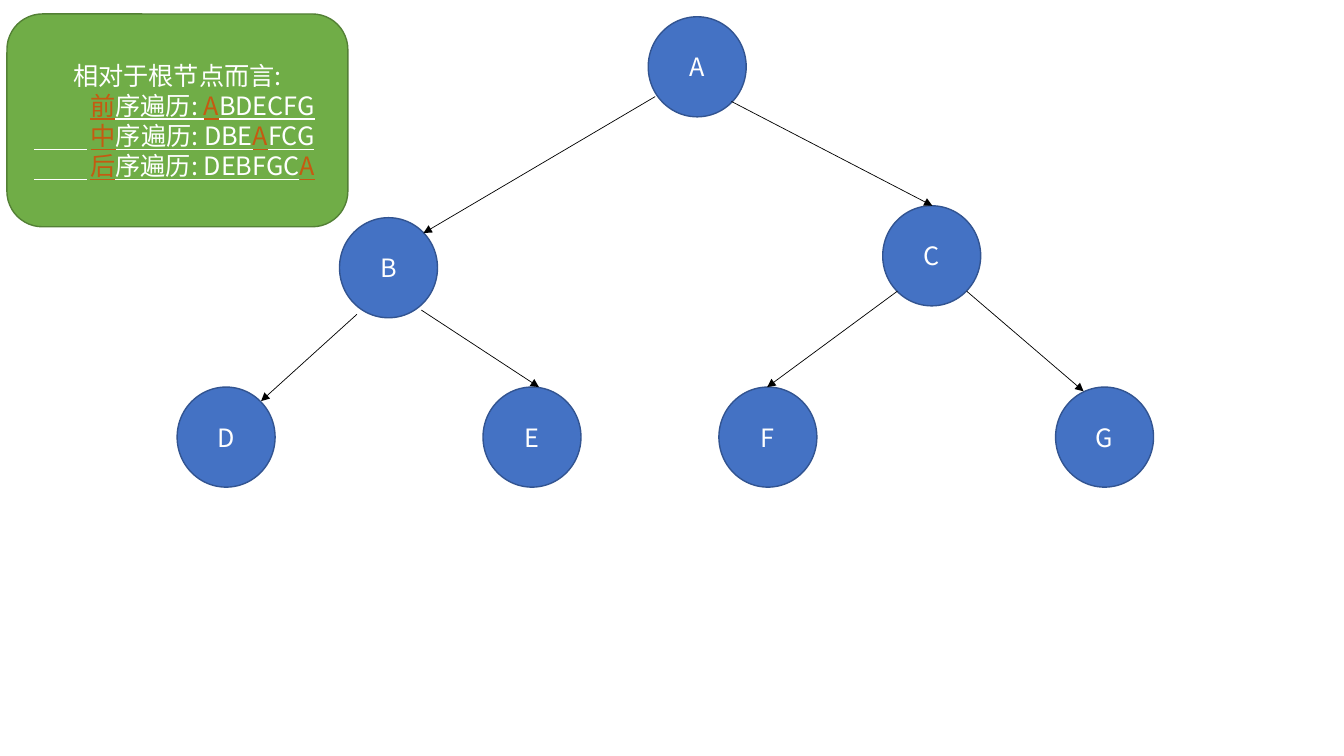
"""Build a binary tree slide with its three traversal orders."""
from itertools import groupby

from lxml.etree import SubElement
from pptx import Presentation
from pptx.dml.color import RGBColor
from pptx.enum.shapes import MSO_CONNECTOR as Connector, MSO_SHAPE as Shape
from pptx.enum.text import MSO_ANCHOR as Anchor, PP_ALIGN as Align
from pptx.oxml.ns import qn
from pptx.util import Pt

FONT = "Noto Sans CJK SC"
WHITE, ORANGE, BLACK = "FFFFFF", "C55A11", "000000"
ROOT_MARKS = "前中后A"


def add_text(para, text, color=WHITE, underline=None, size=18):
    para.alignment = Align.CENTER
    para.line_spacing = Pt(21.5)
    span = para.add_run()
    span.text = text
    span.font.size = Pt(size)
    span.font.name = FONT
    span.font.underline = underline
    span.font.color.rgb = RGBColor.from_string(color)
    SubElement(span.font._element, qn("a:ea"), typeface=FONT)


def add_line(start, end, color, width):
    line = page.shapes.add_connector(Connector.STRAIGHT, *map(Pt, start + end))
    line.line.color.rgb = RGBColor.from_string(color)
    line.line.width = Pt(width)
    SubElement(line._element.spPr, qn("a:effectLst"))
    return line


deck = Presentation()
deck.slide_width, deck.slide_height = Pt(960), Pt(540)
page = deck.slides.add_slide(deck.slide_layouts[6])

node_size = (70, 71.5)
leaf_top = 276.5
nodes = {
    "A": (463, 12), "B": (242.5, 155.5), "C": (630.5, 147),
    "D": (126.5, leaf_top), "E": (345, leaf_top),
    "F": (513.5, leaf_top), "G": (754, leaf_top),
}
boxes = [(Shape.OVAL, place + node_size, "4472C4", "325491", [name])
         for name, place in nodes.items()]
note_lines = ["相对于根节点而言:", "前序遍历: ABDECFG",
              "中序遍历: DBEAFCG", "后序遍历: DEBFGCA"]
boxes.append((Shape.ROUNDED_RECTANGLE, (5, 10, 243.5, 152), "70AD47", "538035", note_lines))

for kind, frame, fill, outline, lines in boxes:
    box = page.shapes.add_shape(kind, *map(Pt, frame))
    box.shadow.inherit = False
    box.fill.solid()
    box.fill.fore_color.rgb = RGBColor.from_string(fill)
    box.line.color.rgb = RGBColor.from_string(outline)
    box.line.width = Pt(1)
    text_frame = box.text_frame
    text_frame.word_wrap = True
    text_frame.vertical_anchor = Anchor.MIDDLE
    add_text(text_frame.paragraphs[0], lines[0])
    for line_text in lines[1:]:
        para = text_frame.add_paragraph()
        para._p.get_or_add_pPr().set("marL", str(Pt(36)))
        for marked, letters in groupby(line_text, lambda letter: letter in ROOT_MARKS):
            add_text(para, "".join(letters), color=ORANGE if marked else WHITE, underline=True)

edges = [
    ((468, 69), (302.5, 166.5)), ((522.5, 72.5), (666, 147)),
    ((255, 224.5), (186.5, 286.5)), ((301, 221.5), (385, leaf_top)),
    ((690.5, 208), (774, 279.5)), ((641, 208), (548, leaf_top)),
]
for start, end in edges:
    arrow = add_line(start, end, BLACK, 0.5)
    SubElement(arrow.line._get_or_add_ln(), qn("a:tailEnd"), type="triangle")

for underline_top in (106.8, 128.3):
    add_line((24.5, underline_top), (62, underline_top), WHITE, 0.75)

deck.save("out.pptx")
